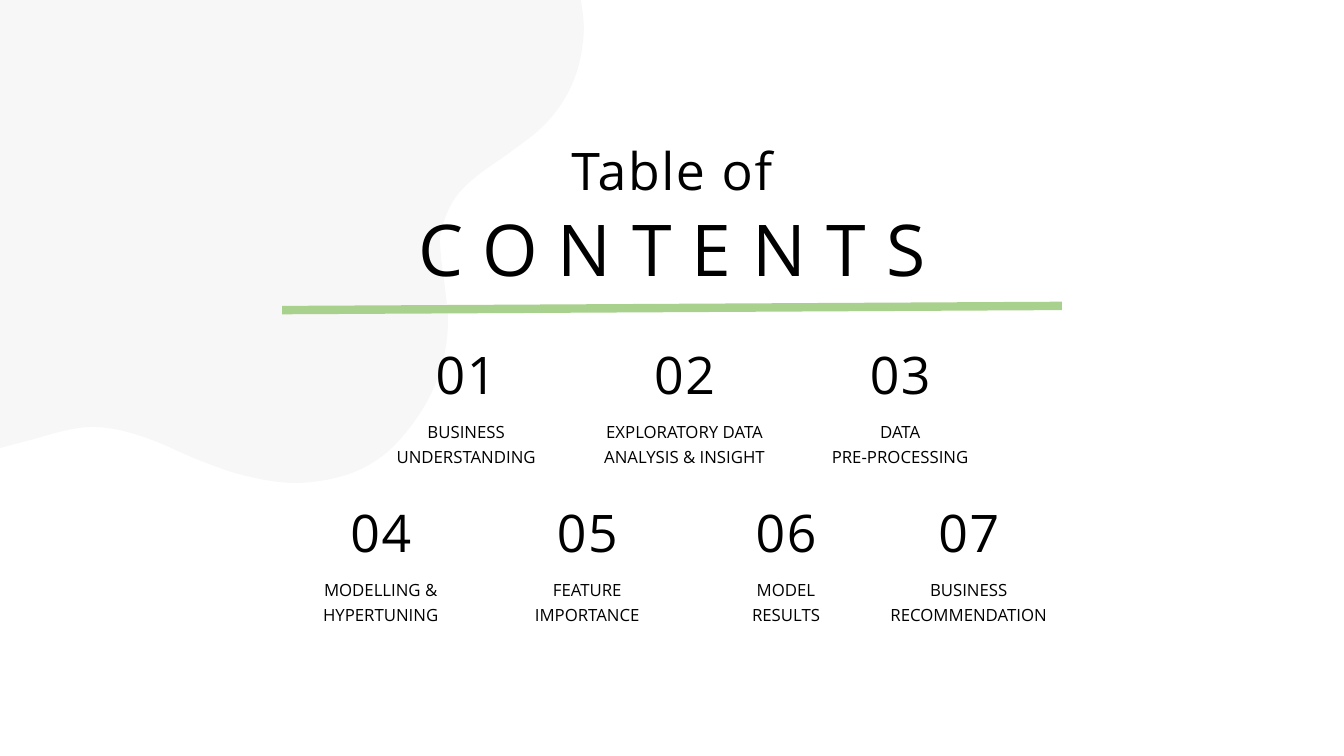
from lxml.etree import SubElement
from pptx import Presentation
from pptx.dml.color import RGBColor
from pptx.enum.shapes import MSO_CONNECTOR
from pptx.enum.text import MSO_ANCHOR, MSO_AUTO_SIZE, PP_ALIGN
from pptx.oxml.ns import qn
from pptx.util import Pt

EDGE = [
    (415, 0), (417, 22), (413, 48), (403, 71), (387, 91), (364, 109), (339, 127),
    (324, 143), (315, 165), (315, 183), (318, 207), (320, 230), (317, 255),
    (308, 281), (293, 305), (274, 325), (248, 339), (212, 345), (176, 340),
    (143, 329), (108, 314), (79, 306), (54, 306), (19, 315), (0, 320),
]
ROWS = [
    (249, [
        (333, 110, "BUSINESS UNDERSTANDING"),
        (489, 130, "EXPLORATORY DATA ANALYSIS & INSIGHT"),
        (643, 110, "DATA\nPRE-PROCESSING"),
    ]),
    (362, [
        (272, 141, "MODELLING & HYPERTUNING"),
        (419.5, 141, "FEATURE\nIMPORTANCE"),
        (561.5, 130, "MODEL\nRESULTS"),
        (692, 130, "BUSINESS\nRECOMMENDATION"),
    ]),
]


def tint(code):
    return RGBColor.from_string(code)


def write(shape, text, size, lead, space=0, color="000000"):
    frame = shape.text_frame
    frame.word_wrap = True
    frame.auto_size = MSO_AUTO_SIZE.SHAPE_TO_FIT_TEXT
    frame.vertical_anchor = MSO_ANCHOR.TOP
    frame.margin_left = frame.margin_right = 0
    frame.margin_top = frame.margin_bottom = 0
    frame.text = text
    for para in frame.paragraphs:
        para.alignment = PP_ALIGN.CENTER
        para.line_spacing = Pt(lead)
        for run in para.runs:
            run.font.name = "Open Sans"
            run.font.size = Pt(size)
            run.font.color.rgb = tint(color)
            if space:
                run._r.get_or_add_rPr().set("spc", str(round(space * 100)))


def add_text(slide, text, left, top, width, height, **style):
    box = slide.shapes.add_textbox(Pt(left), Pt(top), Pt(width), Pt(height))
    write(box, text, **style)


def smooth(knots, steps=6):
    ends = [knots[0], *knots, knots[-1]]
    for a, b, c, d in zip(ends, ends[1:], ends[2:], ends[3:]):
        for step in range(steps):
            t = step / steps
            yield tuple(
                q + t / 2 * (r - p + t * (2 * p - 5 * q + 4 * r - s + t * (3 * (q - r) + s - p)))
                for p, q, r, s in zip(a, b, c, d)
            )
    yield knots[-1]


def add_blob(slide, left, top):
    curve = [(Pt(left + x), Pt(top + y)) for x, y in smooth(EDGE)]
    outline = slide.shapes.build_freeform(Pt(left), Pt(top))
    outline.add_line_segments(curve, close=True)
    blob = outline.convert_to_shape()
    blob.shadow.inherit = False
    blob.fill.solid()
    blob.fill.fore_color.rgb = tint("F7F7F7")
    blob.line.fill.background()
    slide.shapes.title.element.addprevious(blob.element)


def add_head(slide, left, top, width):
    add_text(slide, "Table of", left, top, width, 40, size=37, lead=40.3, space=1.2)
    title = slide.shapes.title
    title.left, title.top = Pt(left), Pt(top + 47.5)
    title.width, title.height = Pt(width), Pt(57)
    write(title, "CONTENTS", size=51, lead=56.5, space=14.6)
    rule = slide.shapes.add_connector(
        MSO_CONNECTOR.STRAIGHT,
        Pt(left + width), Pt(top + 115), Pt(left), Pt(top + 118))
    rule.line.color.rgb = tint("A9D18E")
    rule.line.width = Pt(6)
    SubElement(rule.element.spPr, qn("a:effectLst"))


def add_topic(slide, mark, label, mid, top, width):
    add_text(slide, f"{mark:02}", mid - 59.5, top, 119, 40, size=37, lead=40.3, space=1.2)
    add_text(slide, label, mid - width / 2, top + 49, width, 35, size=12, lead=17.6)


def add_topics(slide):
    mark = 1
    for top, row in ROWS:
        for mid, width, label in row:
            add_topic(slide, mark, label, mid, top, width)
            mark += 1


def main():
    deck = Presentation()
    deck.slide_width, deck.slide_height = Pt(960), Pt(540)
    slide = deck.slides.add_slide(deck.slide_layouts[5])
    add_blob(slide, 0, 0)
    add_head(slide, 201.5, 103.5, 557)
    add_topics(slide)
    deck.save("out.pptx")


if __name__ == "__main__":
    main()
